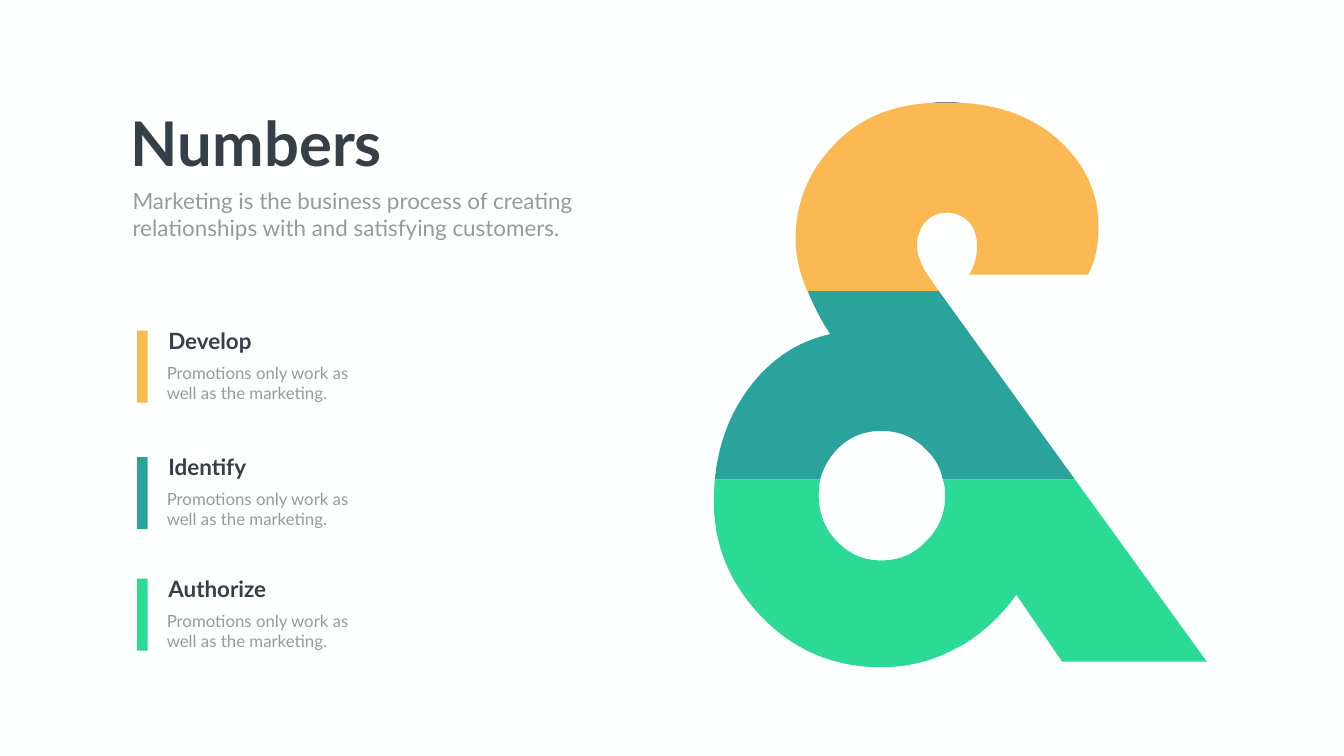
"""Build the "Numbers" slide: three labelled stages beside a banded ampersand."""
from pptx import Presentation
from pptx import util as u
from pptx.dml.color import RGBColor
from pptx.enum import shapes, text
from pptx.oxml import ns
from lxml import etree

CELL = u.Inches(1)
COLUMNS, ROWS = 26.66, 15
FONT = "Lato"

PAPER = RGBColor(0xFE, 0xFF, 0xFF)
INK = RGBColor(0x36, 0x3E, 0x48)
GREY = RGBColor(0x99, 0x99, 0x99)
CHARCOAL = RGBColor(0x32, 0x32, 0x34)
ORANGE = RGBColor(0xFC, 0xB8, 0x53)
TEAL = RGBColor(0x29, 0xA3, 0x9C)
GREEN = RGBColor(0x2B, 0xDA, 0x95)

PROMOTION = "Promotions only work as well as the marketing."
STAGES = [("Develop", ORANGE, 6.56), ("Identify", TEAL, 9.07), ("Authorize", GREEN, 11.48)]

TIP = [
    (18.76, 2.03), (18.68, 2.03, 18.59, 2.03, 18.5, 2.04),
    (19.04, 2.04), (18.95, 2.03, 18.86, 2.03, 18.76, 2.03),
]
FOOT = [
    (21.32, 9.51), (18.7, 9.51),
    (18.74, 9.61, 18.75, 9.72, 18.75, 9.83),
    (18.75, 10.18, 18.63, 10.49, 18.37, 10.74),
    (18.13, 11, 17.83, 11.12, 17.49, 11.12),
    (17.13, 11.12, 16.85, 11, 16.6, 10.74),
    (16.36, 10.49, 16.24, 10.18, 16.24, 9.83),
    (16.24, 9.72, 16.25, 9.61, 16.27, 9.51),
    (14.18, 9.51),
    (14.17, 9.65, 14.16, 9.81, 14.16, 9.95),
    (14.16, 10.82, 14.48, 11.59, 15.12, 12.25),
    (15.76, 12.91, 16.55, 13.24, 17.48, 13.24),
    (18.02, 13.24, 18.53, 13.11, 19.01, 12.84),
    (19.02, 12.83, 19.03, 12.82, 19.06, 12.82),
    (19.51, 12.55, 19.87, 12.21, 20.16, 11.8),
    (21.07, 13.13), (23.94, 13.13),
]
WAIST = [
    (21.32, 9.51), (18.62, 5.77), (16.02, 5.77),
    (16.13, 6.04, 16.27, 6.33, 16.47, 6.63),
    (15.82, 6.77, 15.26, 7.14, 14.82, 7.75),
    (14.46, 8.25, 14.25, 8.83, 14.18, 9.51),
    (16.27, 9.51),
    (16.33, 9.29, 16.44, 9.09, 16.6, 8.92),
    (16.84, 8.67, 17.13, 8.55, 17.49, 8.55),
    (17.83, 8.55, 18.13, 8.67, 18.37, 8.92),
    (18.55, 9.09, 18.66, 9.29, 18.7, 9.51),
]
HEAD = [
    (20.99, 2.77), (20.5, 2.33, 19.85, 2.08, 19.05, 2.04),
    (18.5, 2.04),
    (17.69, 2.08, 17.05, 2.35, 16.58, 2.84),
    (16.05, 3.37, 15.78, 4.01, 15.78, 4.76),
    (15.78, 5.07, 15.86, 5.4, 16.01, 5.77),
    (18.62, 5.77), (18.48, 5.57),
    (18.28, 5.3, 18.19, 5.07, 18.19, 4.88),
    (18.19, 4.68, 18.25, 4.53, 18.36, 4.4),
    (18.47, 4.28, 18.61, 4.22, 18.79, 4.22),
    (18.89, 4.22, 18.98, 4.24, 19.05, 4.28),
    (19.11, 4.31, 19.16, 4.35, 19.22, 4.4),
    (19.33, 4.53, 19.38, 4.68, 19.38, 4.89),
    (19.38, 5.1, 19.33, 5.29, 19.22, 5.45),
    (21.58, 5.45),
    (21.73, 5.18, 21.79, 4.86, 21.79, 4.49),
    (21.79, 3.83, 21.53, 3.26, 20.99, 2.77),
]
AMPERSAND = [(TIP, CHARCOAL), (FOOT, GREEN), (WAIST, TEAL), (HEAD, ORANGE)]


def cells(*lengths):
    """Convert lengths in grid cells to slide units."""
    return [round(length * CELL) for length in lengths]


def paint(shape, colour):
    """Give a shape a flat fill without line or shadow."""
    shape.shadow.inherit = False
    shape.fill.solid()
    shape.fill.fore_color.rgb = colour
    shape.line.fill.background()


def bend(shape, segments):
    """Merge each three lines that stand for a six-value segment into one Bézier curve."""
    lines = iter(shape.element.xpath(".//a:lnTo"))
    for segment in segments:
        first = next(lines)
        if len(segment) == 6:
            curve = etree.Element(ns.qn("a:cubicBezTo"))
            first.addprevious(curve)
            for line in (first, next(lines), next(lines)):
                curve.append(line[0])
                line.getparent().remove(line)


def add_band(slide, outline, colour):
    """Draw one coloured band of the ampersand from lines and curves."""
    start, *segments = outline
    points = [cells(*segment[i:i + 2]) for segment in segments
              for i in range(0, len(segment), 2)]
    builder = slide.shapes.build_freeform(*cells(*start))
    builder.add_line_segments(points, close=True)
    band = builder.convert_to_shape()
    bend(band, segments)
    paint(band, colour)


def add_label(slide, wording, box, size, colour, bold=False):
    """Place left-aligned text, one paragraph per line of wording."""
    frame = slide.shapes.add_textbox(*cells(*box)).text_frame
    frame.word_wrap = True
    frame.text = wording
    for paragraph in frame.paragraphs:
        paragraph.alignment = text.PP_ALIGN.LEFT
        for run in paragraph.runs:
            run.font.name = FONT
            run.font.size = u.Pt(size)
            run.font.bold = bold
            run.font.color.rgb = colour


def add_stage(slide, name, colour, top):
    """Draw a stage: colour bar, name and description."""
    bar = slide.shapes.add_shape(shapes.MSO_SHAPE.RECTANGLE, *cells(2.72, top, 0.21, 1.43))
    paint(bar, colour)
    add_label(slide, name, (3.24, top - 0.12, 2.61, 0.64), 32, INK, bold=True)
    add_label(slide, PROMOTION, (3.21, top + 0.58, 4.01, 0.91), 24, GREY)


def main():
    """Build and save the slide."""
    deck = Presentation()
    deck.slide_width, deck.slide_height = cells(COLUMNS, ROWS)
    slide = deck.slides.add_slide(deck.slide_layouts[6])
    slide.background.fill.solid()
    slide.background.fill.fore_color.rgb = PAPER

    for outline, colour in AMPERSAND:
        add_band(slide, outline, colour)
    add_label(slide, "Numbers", (2.5, 2.03, 5.28, 1.58), 88, INK, bold=True)
    add_label(slide, "Marketing is the business process of creating\n"
              "relationships with and satisfying customers.", (2.53, 3.66, 9.08, 1.18), 32, GREY)
    for name, colour, top in STAGES:
        add_stage(slide, name, colour, top)
    deck.save("out.pptx")


if __name__ == "__main__":
    main()
